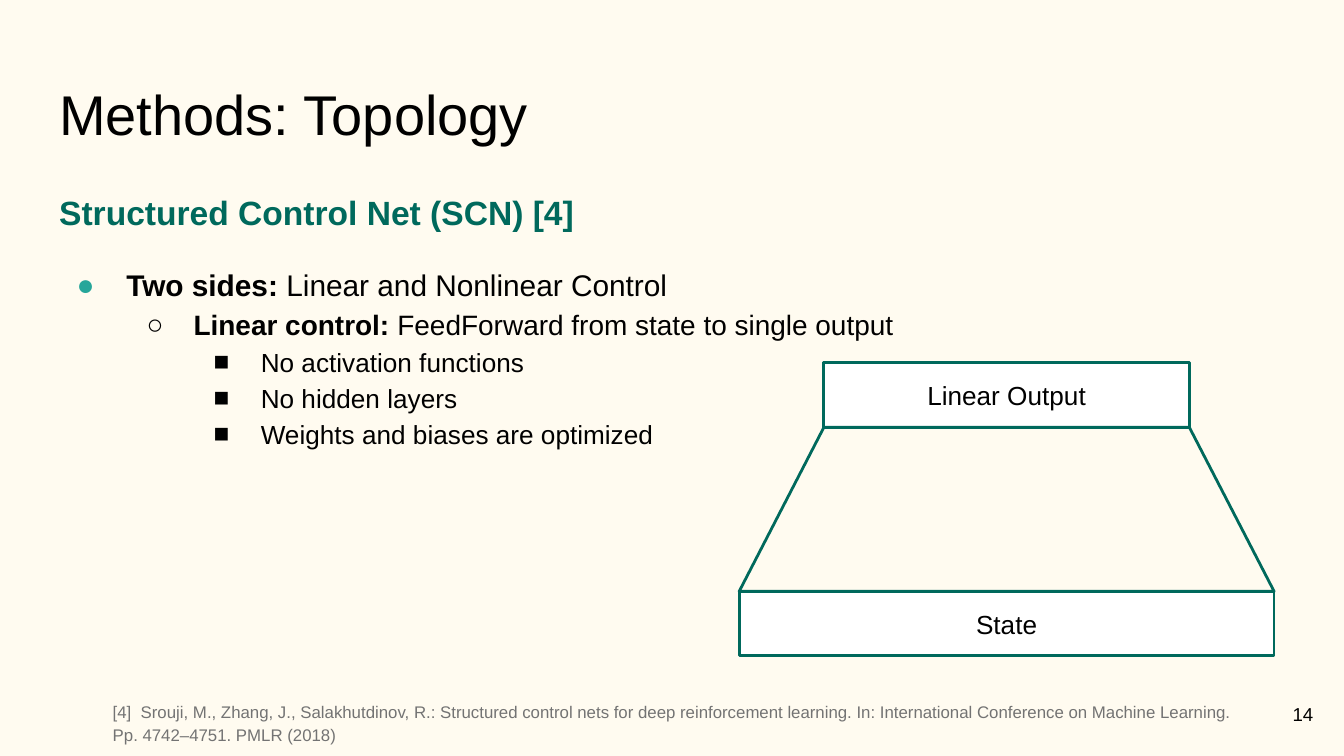
import pptx
import pptx.util
from lxml import etree
from pptx.dml.color import RGBColor
from pptx.enum.shapes import MSO_SHAPE
from pptx.enum.text import MSO_ANCHOR, MSO_AUTO_SIZE, PP_ALIGN
from pptx.oxml.ns import qn
from pptx.util import Inches, Pt

CREAM = RGBColor(0xFF, 0xFB, 0xF0)
WHITE = RGBColor(0xFF, 0xFF, 0xFF)
BLACK = RGBColor(0x00, 0x00, 0x00)
GREY = RGBColor(0x73, 0x73, 0x73)
GREEN = RGBColor(0x00, 0x69, 0x5C)
TEAL = RGBColor(0x26, 0xA6, 0x9A)
FONT = "Arial"

TITLE = "Methods: Topology"
HEADING = "Structured Control Net (SCN) [4]"
# level, bold lead, plain text
BULLETS = [
    (0, "Two sides: ", "Linear and Nonlinear Control"),
    (1, "Linear control:", " FeedForward from state to single output"),
    (2, "", "No activation functions"),
    (2, "", "No hidden layers"),
    (2, "", "Weights and biases are optimized"),
]
# Per level: bullet, bullet colour, text size, hanging indent, space before
LEVELS = [
    ("●", TEAL, 16, 0.37, 16),
    ("○", BLACK, 15, 0.35, 0),
    ("■", BLACK, 14, 0.35, 0),
]
REFERENCE = (
    "[4]  Srouji, M., Zhang, J., Salakhutdinov, R.: Structured control nets for deep "
    "reinforcement learning. In: International Conference on Machine Learning. "
    "Pp. 4742–4751. PMLR (2018)"
)
PAGE_NUMBER = "14"

# Network diagram
CENTER_X = 7.49
BOX_HEIGHT = 0.48
OUTPUT_TOP, OUTPUT_WIDTH = 2.7, 2.72
STATE_TOP, STATE_WIDTH = 4.4, 3.98


def place(shape, left, top, width, height):
    shape.left, shape.top = Inches(left), Inches(top)
    shape.width, shape.height = Inches(width), Inches(height)


def prepare_frame(shape, anchor=MSO_ANCHOR.TOP):
    """Set wrapping, equal insets and anchoring, and return the text frame."""
    frame = shape.text_frame
    frame.word_wrap = True
    frame.auto_size = MSO_AUTO_SIZE.NONE
    frame.vertical_anchor = anchor
    frame.margin_left = frame.margin_right = Inches(0.1)
    frame.margin_top = frame.margin_bottom = Inches(0.1)
    return frame


def add_text(paragraph, text, *, size, color=BLACK, bold=False,
             align=PP_ALIGN.LEFT, spacing=1.0, before=0):
    paragraph.alignment = align
    paragraph.line_spacing = spacing
    paragraph.space_before = Pt(before)
    run = paragraph.add_run()
    run.text = text
    run.font.name = FONT
    run.font.size = Pt(size)
    run.font.bold = bold
    run.font.color.rgb = color


def set_bullet(paragraph, left=0, hanging=0, character=None, color=None):
    properties = paragraph._p.get_or_add_pPr()
    properties.set("marL", str(Inches(left)))
    properties.set("indent", str(-Inches(hanging)))
    if character is None:
        etree.SubElement(properties, qn("a:buNone"))
        return
    bullet_color = etree.SubElement(properties, qn("a:buClr"))
    etree.SubElement(bullet_color, qn("a:srgbClr"), val=str(color))
    etree.SubElement(properties, qn("a:buFont"), typeface=FONT)
    etree.SubElement(properties, qn("a:buChar"), char=character)


def add_outlined_shape(slide, preset, top, width, height):
    shape = slide.shapes.add_shape(
        preset, Inches(CENTER_X - width / 2), Inches(top), Inches(width), Inches(height))
    shape.shadow.inherit = False
    shape.line.color.rgb = GREEN
    shape.line.width = Pt(1.5)
    return shape


def add_layer(slide, label, top, width):
    box = add_outlined_shape(slide, MSO_SHAPE.RECTANGLE, top, width, BOX_HEIGHT)
    box.fill.solid()
    box.fill.fore_color.rgb = WHITE
    frame = prepare_frame(box, MSO_ANCHOR.MIDDLE)
    add_text(frame.paragraphs[0], label, size=14, align=PP_ALIGN.CENTER)


def add_diagram(slide):
    add_layer(slide, "State", STATE_TOP, STATE_WIDTH)
    add_layer(slide, "Linear Output", OUTPUT_TOP, OUTPUT_WIDTH)
    top = OUTPUT_TOP + BOX_HEIGHT
    height = STATE_TOP - top
    links = add_outlined_shape(slide, MSO_SHAPE.TRAPEZOID, top, STATE_WIDTH, height)
    links.adjustments[0] = (STATE_WIDTH - OUTPUT_WIDTH) / 2 / height
    links.fill.background()


def add_body(body):
    place(body, 0.34, 1.28, 9.09, 1.53)
    frame = prepare_frame(body)
    heading = frame.paragraphs[0]
    set_bullet(heading)
    add_text(heading, HEADING, size=18, color=GREEN, bold=True, spacing=1.15)
    for level, lead, text in BULLETS:
        character, color, size, hanging, before = LEVELS[level]
        paragraph = frame.add_paragraph()
        paragraph.level = level
        set_bullet(paragraph, 0.5 * (level + 1), hanging, character, color)
        for part, bold in ((lead, True), (text, False)):
            if part:
                add_text(paragraph, part, size=size, bold=bold, spacing=1.15, before=before)


def main():
    presentation = pptx.Presentation()
    presentation.slide_width = Inches(10)
    presentation.slide_height = presentation.slide_width * 9 // 16
    slide = presentation.slides.add_slide(presentation.slide_layouts[1])
    slide.background.fill.solid()
    slide.background.fill.fore_color.rgb = CREAM

    title = slide.shapes.title
    place(title, 0.34, 0.49, 9.32, 0.67)
    add_text(prepare_frame(title).paragraphs[0], TITLE, size=30)
    add_body(slide.placeholders[1])

    number = slide.shapes.add_textbox(Inches(9.27), Inches(5.1), Inches(0.6), Inches(0.43))
    add_text(prepare_frame(number, MSO_ANCHOR.MIDDLE).paragraphs[0], PAGE_NUMBER,
             size=10, align=PP_ALIGN.RIGHT)
    reference = slide.shapes.add_textbox(Inches(0.74), Inches(5.1), Inches(8.52), Inches(0.7))
    add_text(prepare_frame(reference).paragraphs[0], REFERENCE,
             size=9, color=GREY, spacing=1.15)

    add_diagram(slide)
    presentation.save("out.pptx")


if __name__ == "__main__":
    main()
